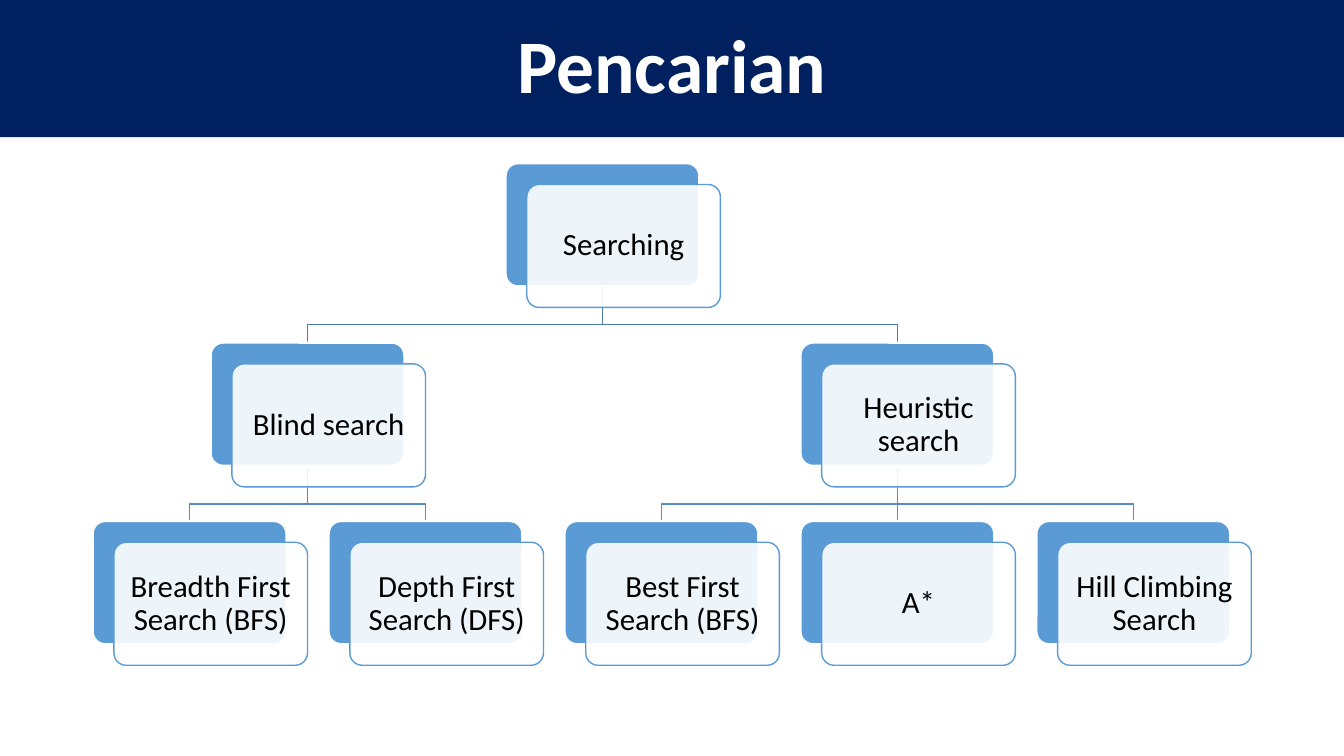
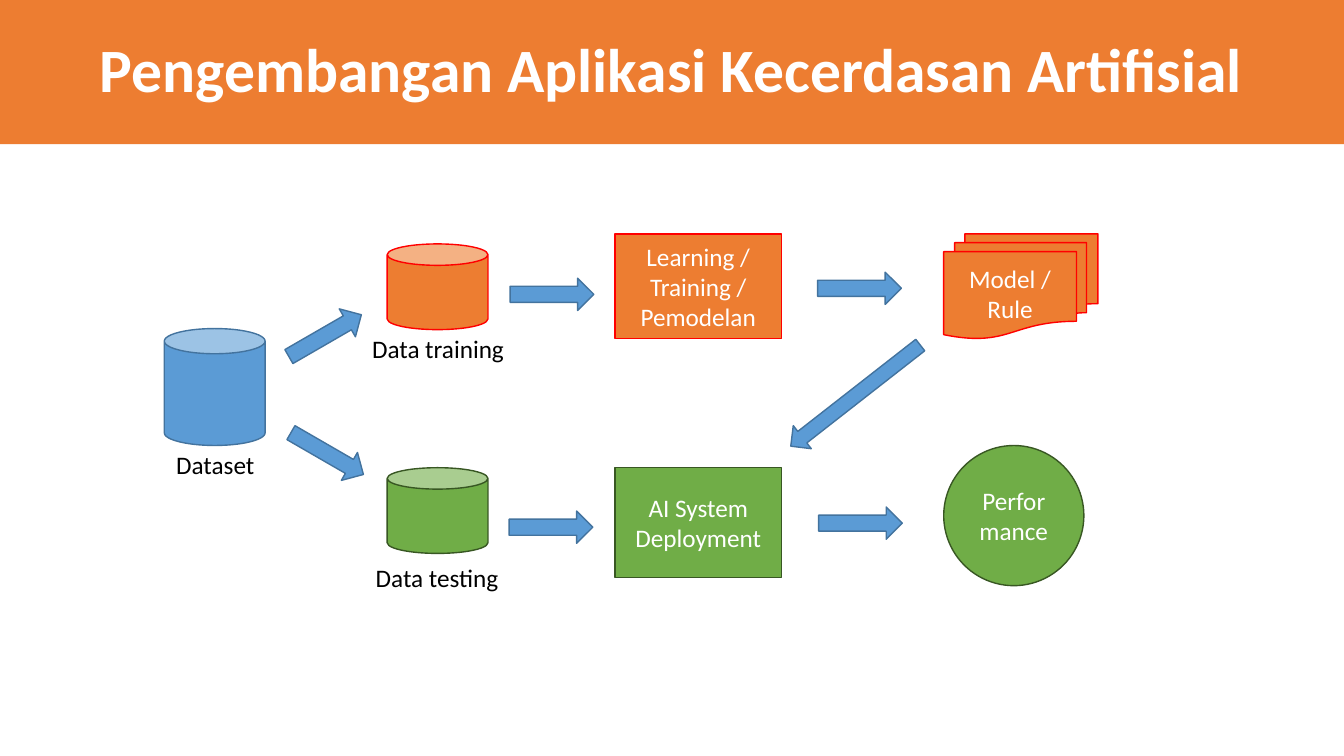
from lxml import etree
from pptx import Presentation
from pptx import util as u
from pptx.dml.color import RGBColor
from pptx.enum import shapes, text
from pptx.oxml.ns import qn

In = u.Inches
G = shapes.MSO_SHAPE
FACE = "Calibri"
WHITE, BLACK, NAVY = "FFFFFF", "000000", "002060"
BLUE, EDGE = "5B9BD5", "43739E"
AMBER, RED = "ED7D31", "FF0000"
GREEN, MOSS = "70AD47", "385723"

TREE = ("Searching", [
    ("Blind search", [
        ("Breadth First Search (BFS)", []),
        ("Depth First Search (DFS)", [])]),
    ("Heuristic search", [
        ("Best First Search (BFS)", []),
        ("A*", []),
        ("Hill Climbing Search", [])])])
ROWS = [1.62, 3.4, 5.17]
INKS = ["497CAB", "538DC1"]
LEFT, STEP = 0.92, 2.34
CARD_W, CARD_H = 1.92, 1.22
SHIFT, BEND = 0.21, 0.38

STEPS = [
    (G.CAN, (1.63, 3.26, 1, 1.16), BLUE, EDGE, ""),
    (G.CAN, (3.84, 2.42, 1, 0.85), AMBER, RED, ""),
    (G.CAN, (3.84, 4.64, 1, 0.85), GREEN, MOSS, ""),
    (G.RECTANGLE, (6.1, 2.32, 1.65, 1.04), AMBER, RED,
     "Learning / Training / Pemodelan"),
    (G.FLOWCHART_MULTIDOCUMENT, (9.36, 2.32, 1.53, 1.04), AMBER, RED,
     "Model / Rule"),
    (G.FLOWCHART_PROCESS, (6.1, 4.64, 1.65, 1.09), GREEN, MOSS,
     "AI System Deployment"),
    (G.OVAL, (9.36, 4.42, 1.39, 1.39), GREEN, MOSS, "Performance"),
]
LABELS = [
    ("Dataset", 1.64, 4.41, 0.99),
    ("Data training", 3.58, 3.26, 1.53),
    ("Data testing", 3.62, 5.53, 1.43),
]
ARROW = (0.83, 0.32)
ARROWS = [
    (2.81, 3.17, ARROW, 330),
    (5.06, 2.76, ARROW, 0),
    (8.11, 2.7, ARROW, 0),
    (5.05, 5.07, ARROW, 0),
    (8.12, 5.03, ARROW, 0),
    (2.83, 4.34, ARROW, 30),
    (7.67, 3.78, (1.63, 0.29), 142),
]


def rgb(hue):
    return RGBColor.from_string(hue)


def paint(shape, fill, line, width=1):
    shape.shadow.inherit = False
    shape.fill.solid()
    shape.fill.fore_color.rgb = rgb(fill)
    stroke(shape, line, width)


def stroke(shape, hue, width=1):
    shape.line.color.rgb = rgb(hue)
    shape.line.width = u.Pt(width)


def write(shape, words, size, hue, bold=False, lead=None):
    frame = shape.text_frame
    frame.word_wrap = True
    frame.vertical_anchor = text.MSO_ANCHOR.MIDDLE
    para = frame.paragraphs[0]
    para.alignment = text.PP_ALIGN.CENTER
    if lead:
        para.line_spacing = lead
    run = para.add_run()
    run.text = words
    font = run.font
    font.name, font.size, font.bold = FACE, u.Pt(size), bold
    font.color.rgb = rgb(hue)
    return frame


def draw(slide, kind, box, fill, line, width=1):
    shape = slide.shapes.add_shape(kind, *map(In, box))
    paint(shape, fill, line, width)
    return shape


def start(deck, words, tall, fill, size):
    slide = deck.slides.add_slide(deck.slide_layouts[5])
    band = slide.shapes.title
    band.left, band.top = 0, 0
    band.width, band.height = deck.slide_width, In(tall)
    band.fill.solid()
    band.fill.fore_color.rgb = rgb(fill)
    frame = write(band, words, size, WHITE, True, 0.9)
    frame.auto_size = text.MSO_AUTO_SIZE.NONE
    return slide


def card(slide, words, left, top):
    back = draw(slide, G.ROUNDED_RECTANGLE, (left, top, CARD_W, CARD_H),
                BLUE, WHITE, 1.5)
    front = draw(slide, G.ROUNDED_RECTANGLE,
                 (left + SHIFT, top + SHIFT, CARD_W, CARD_H), WHITE, BLUE)
    back.adjustments[0] = front.adjustments[0] = 0.1
    tint = front._element.spPr.find(".//" + qn("a:srgbClr"))
    etree.SubElement(tint, qn("a:alpha")).set("val", "90000")
    frame = write(front, words, 22, BLACK, lead=0.9)
    frame.margin_left = frame.margin_right = In(0.09)
    frame.margin_top = frame.margin_bottom = In(0.09)
    return back


def link(slide, top, low, hue):
    x1, y1 = top.left + top.width // 2, top.top + top.height
    x2, y2 = low.left + low.width // 2, low.top
    if abs(x1 - x2) < In(0.02):
        line = slide.shapes.add_connector(
            shapes.MSO_CONNECTOR.STRAIGHT, x1, y1, x2, y2)
        line.begin_connect(top, 2)
        line.end_connect(low, 0)
        stroke(line, hue)
        etree.SubElement(line._element.spPr, qn("a:effectLst"))
    else:
        mid = y1 + In(BEND)
        pen = slide.shapes.build_freeform(x1, y1)
        pen.add_line_segments([(x1, mid), (x2, mid), (x2, y2)], close=False)
        line = pen.convert_to_shape()
        line.shadow.inherit = False
        line.fill.background()
        stroke(line, hue)
    slide.shapes.title._element.addnext(line._element)


def grow(slide, node, first=0, row=0):
    words, kids = node
    cards, slot = [], first
    for kid in kids:
        low, slot = grow(slide, kid, slot, row + 1)
        cards.append(low)
    if cards:
        left = (cards[0].left + cards[-1].left) / 2 / In(1)
    else:
        left, slot = LEFT + STEP * first, first + 1
    top = card(slide, words, left, ROWS[row])
    for low in cards:
        link(slide, top, low, INKS[row])
    return top, slot


def search(deck):
    slide = start(deck, "Pencarian", 1.36, NAVY, 54)
    grow(slide, TREE)


def build(deck):
    slide = start(deck, "Pengembangan Aplikasi Kecerdasan Artifisial",
                  1.43, AMBER, 44)
    for kind, box, fill, line, words in STEPS:
        shape = draw(slide, kind, box, fill, line)
        if words:
            write(shape, words, 18, WHITE)
    for words, left, top, wide in LABELS:
        label = slide.shapes.add_textbox(*map(In, (left, top, wide, 0.4)))
        frame = write(label, words, 18, BLACK)
        frame.word_wrap = False
        frame.vertical_anchor = text.MSO_ANCHOR.TOP
        frame.auto_size = text.MSO_AUTO_SIZE.SHAPE_TO_FIT_TEXT
    for left, top, size, turn in ARROWS:
        arrow = draw(slide, G.RIGHT_ARROW, (left, top, *size), BLUE, EDGE)
        arrow.rotation = turn


def main():
    deck = Presentation()
    deck.slide_width, deck.slide_height = In(13.33), In(7.5)
    search(deck)
    build(deck)
    deck.save("out.pptx")


if __name__ == "__main__":
    main()
